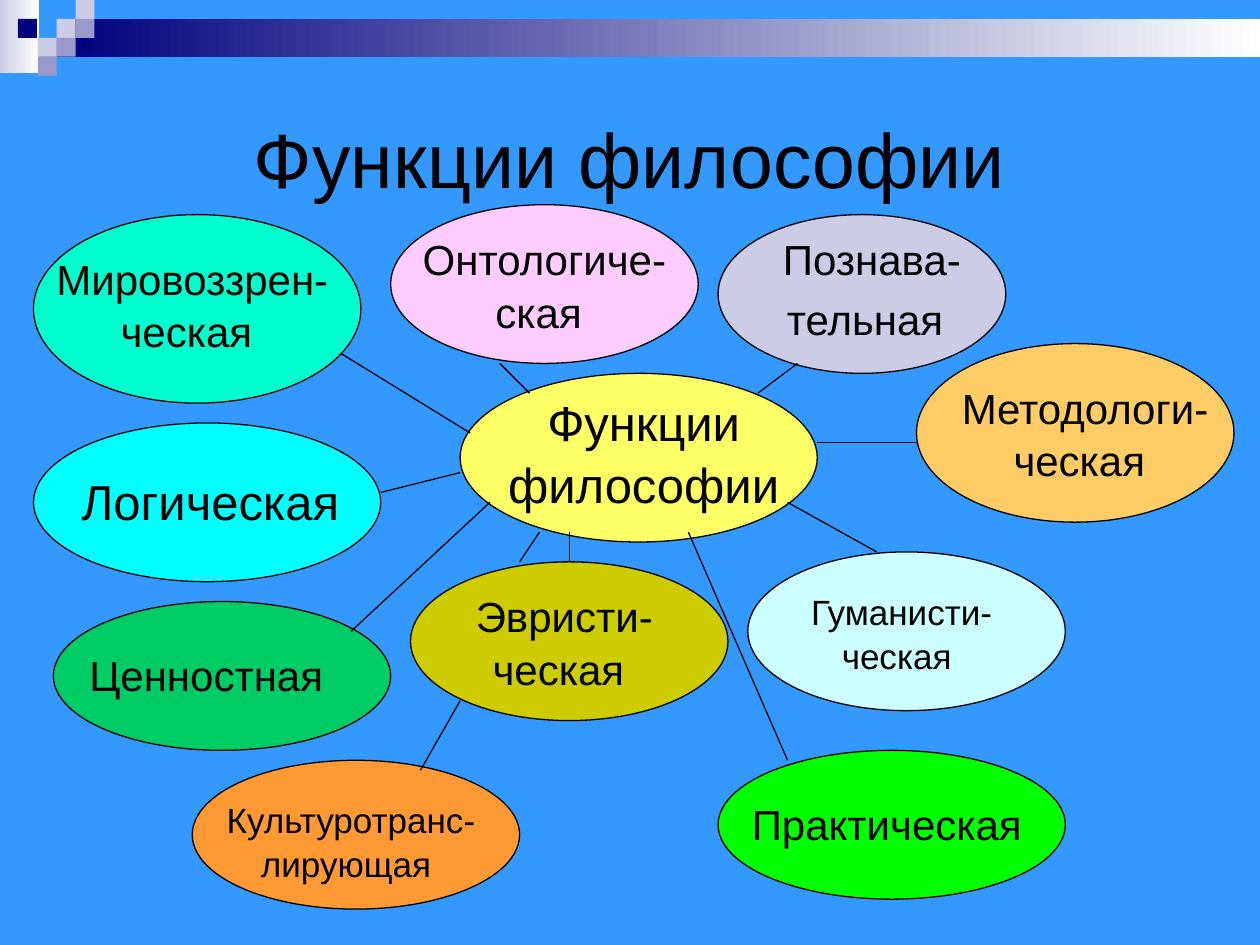
"""Builds a mind map of the functions of philosophy around a central ellipse."""
from pptx import Presentation
from pptx.dml.color import RGBColor
from pptx.enum.shapes import MSO_CONNECTOR, MSO_SHAPE
from pptx.enum.text import MSO_ANCHOR, PP_ALIGN
from pptx.oxml.ns import qn
from pptx.util import Inches, Pt

OVAL, RECT = MSO_SHAPE.OVAL, MSO_SHAPE.RECTANGLE
STRAIGHT = MSO_CONNECTOR.STRAIGHT
CENTER, MIDDLE, TOP = PP_ALIGN.CENTER, MSO_ANCHOR.MIDDLE, MSO_ANCHOR.TOP

THEME = {
    "font": "Arial", "ink": "000000", "background": "3399FF",
    "navy": "00007D", "pale": "CCCCE6", "lilac": "9999CC", "white": "FFFFFF",
    "title": 44, "large": 28, "medium": 24, "small": 20,
    "outline": 0.75, "leading": 1.05,
}

prs = Presentation()
prs.slide_width, prs.slide_height = Inches(10), Inches(7.5)
CELL = prs.slide_width / 127
TILE = Inches(0.15)
ORIGIN_X, ORIGIN_Y = Inches(0.03), Inches(0.05)


def write(frame, *runs, leading=1.0, anchor=TOP):
    """Fill a frame with one centred paragraph of (text, size name) runs."""
    frame.word_wrap = True
    frame.vertical_anchor = anchor
    paragraph = frame.paragraphs[0]
    paragraph.alignment = CENTER
    paragraph.line_spacing = leading
    for text, size in runs:
        run = paragraph.add_run()
        run.text = text
        run.font.name = THEME["font"]
        run.font.size = Pt(THEME[size])
        run.font.color.rgb = RGBColor.from_string(THEME["ink"])


def block(kind, left, top, width, height, *colors):
    """Add a preset shape with a plain fill, or a gradient for two colours."""
    shape = slide.shapes.add_shape(kind, *map(round, (left, top, width, height)))
    shape.shadow.inherit = False
    shape.line.fill.background()
    if len(colors) == 1:
        shape.fill.solid()
        shape.fill.fore_color.rgb = RGBColor.from_string(colors[0])
    else:
        shape.fill.gradient()
        shape.fill.gradient_angle = 0
        for position, (stop, color) in enumerate(zip(shape.fill.gradient_stops, colors)):
            stop.position = position
            stop.color.rgb = RGBColor.from_string(color)
    return shape


slide = prs.slides.add_slide(prs.slide_layouts[5])
slide.background.fill.solid()
slide.background.fill.fore_color.rgb = RGBColor.from_string(THEME["background"])

block(RECT, 0, 0, Inches(0.31), Inches(0.58), THEME["pale"], THEME["white"])
block(RECT, 3 * TILE, TILE, prs.slide_width - 3 * TILE, 2 * TILE,
      THEME["navy"], THEME["white"])
tiles = [(3, 1, "pale"), (4, 0, "pale"), (4, 1, "lilac"), (2, 2, "pale"),
         (0.95, 1, "navy"), (3, 2, "lilac"), (2, 3, "lilac")]
for col, row, color in tiles:
    block(RECT, col * TILE, row * TILE, TILE, TILE, THEME[color])

title = slide.shapes.title
title.left, title.top = round(prs.slide_width * 0.05), Inches(0.5)
title.width, title.height = round(prs.slide_width * 0.9), Inches(1.5)
write(title.text_frame, ("Функции философии", "title"), anchor=MIDDLE)

topics = [
    ((46, 37, 36, 17), "FFFF66", (47, 38, 35), 2, [("Функции философии", "large")]),
    ((3, 21, 33, 19), "00FFCC", (2, 24, 34), 2, [("Мировоззрен-ческая ", "medium")]),
    ((39, 20, 31, 16), "FFCCFF", (39, 22, 31), 2, [("Онтологиче-ская ", "medium")]),
    ((72, 21, 29, 16), "CCCCE6", (74, 22, 27), 2,
     [("Познава-тельная", "medium"), (" ", "large")]),
    ((92, 34, 32, 18), "FFCC66", (95, 37, 28), 2, [("Методологи-ческая ", "medium")]),
    ((3, 42, 35, 16), "00FFFF", (6, 46, 31), 1, [("Логическая ", "large")]),
    ((5, 60, 34, 15), "00CC66", (6, 64, 30), 1, [("Ценностная ", "medium")]),
    ((41, 56, 32, 16), "CCCC00", (44, 58, 25), 2, [("Эвристи-ческая ", "medium")]),
    ((75, 55, 32, 16), "CCFFFF", (77, 58, 27), 2, [("Гуманисти-ческая ", "small")]),
    ((19, 76, 33, 15), "FF9933", (20, 79, 30), 2, [("Культуротранс-лирующая ", "small")]),
    ((72, 75, 35, 15), "00FF00", (74, 79, 31), 1,
     [("Практическая", "medium"), (" ", "small")]),
]
for (col, row, cols, rows), color, (text_col, text_row, text_cols), lines, runs in topics:
    bubble = block(OVAL, ORIGIN_X + col * CELL, ORIGIN_Y + row * CELL,
                   cols * CELL, rows * CELL, color)
    bubble.line.color.rgb = RGBColor.from_string(THEME["ink"])
    bubble.line.width = Pt(THEME["outline"])
    text_height = lines * Pt(THEME[runs[0][1]] * 1.2) + Inches(0.1)
    label = slide.shapes.add_textbox(
        round(ORIGIN_X + text_col * CELL), round(ORIGIN_Y + text_row * CELL),
        round(text_cols * CELL), text_height)
    write(label.text_frame, *runs, leading=THEME["leading"])

links = [
    (76, 39, 80, 36), (82, 44, 92, 44), (50, 36, 53, 39), (34, 35, 47, 43),
    (38, 49, 46, 47), (49, 50, 35, 63), (79, 50, 88, 55), (57, 53, 57, 56),
    (69, 53, 79, 76), (54, 53, 52, 56), (46, 70, 42, 77),
]
for start_col, start_row, end_col, end_row in links:
    link = slide.shapes.add_connector(
        STRAIGHT,
        round(ORIGIN_X + start_col * CELL), round(ORIGIN_Y + start_row * CELL),
        round(ORIGIN_X + end_col * CELL), round(ORIGIN_Y + end_row * CELL))
    link.line.color.rgb = RGBColor.from_string(THEME["ink"])
    link.line.width = Pt(THEME["outline"])
    properties = link._element.spPr
    properties.append(properties.makeelement(qn("a:effectLst"), {}))

prs.save("out.pptx")
